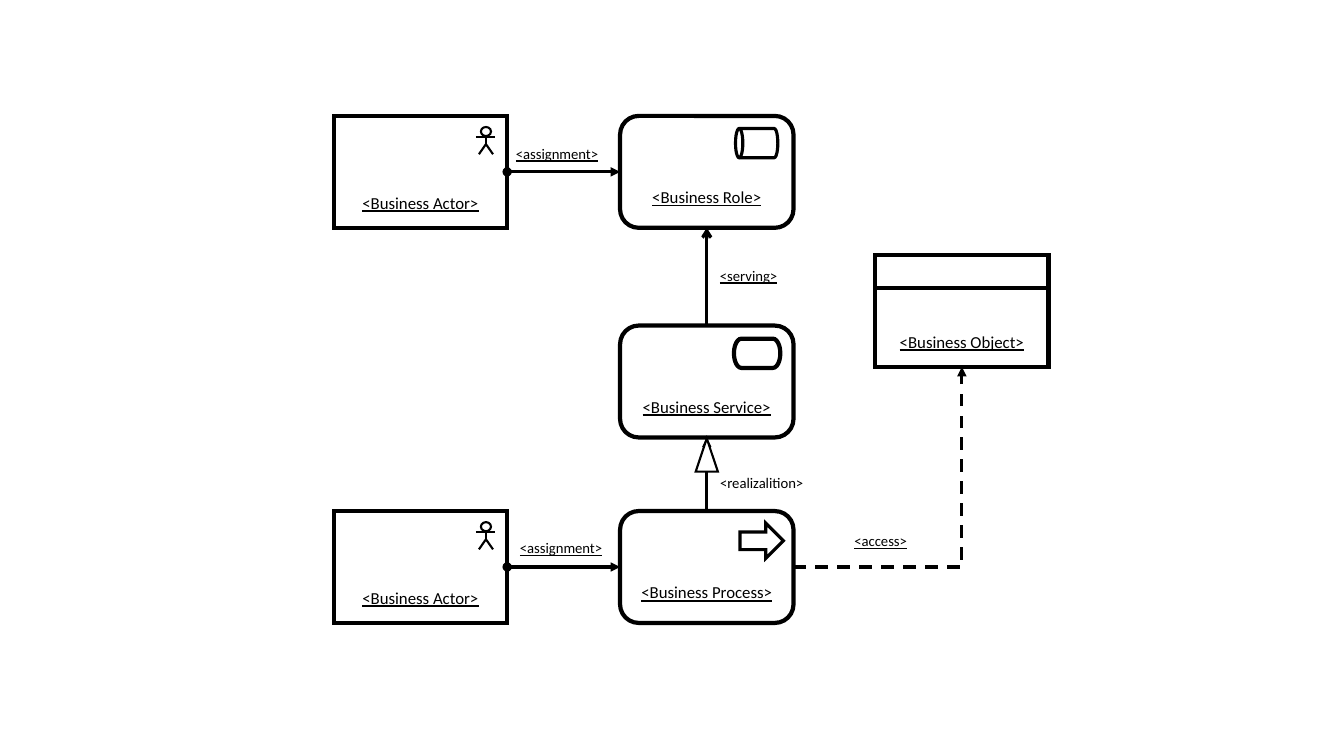
from lxml.etree import SubElement
from pptx import Presentation
from pptx.dml.color import RGBColor
from pptx.enum.dml import MSO_LINE
from pptx.enum.shapes import MSO_CONNECTOR, MSO_SHAPE
from pptx.enum.text import MSO_ANCHOR, PP_ALIGN
from pptx.oxml.ns import qn
from pptx.util import Inches, Pt

BLACK, WHITE = "000000", "FFFFFF"
FONT = "Calibri"

# Grid: left edges of the columns and top edges of the rows, in inches
COLUMNS = {"actor": 3.31, "behaviour": 6.15, "object": 8.68}
ROWS = {"role": 1.15, "object": 2.53, "service": 3.23, "process": 5.07}
BOX_WIDTH, BOX_HEIGHT = 1.72, 1.11
LABEL_WIDTH, LABEL_HEIGHT = 1.45, 0.21

# Connection sites of a box
TOP, LEFT, BOTTOM, RIGHT = range(4)


def colour(hex_code):
    return RGBColor.from_string(hex_code)


def write(shape, text, size=12, underline=True, anchor=MSO_ANCHOR.MIDDLE, bottom=0):
    frame = shape.text_frame
    frame.word_wrap = True
    frame.vertical_anchor = anchor
    frame.margin_left = frame.margin_right = frame.margin_top = 0
    frame.margin_bottom = Inches(bottom)
    paragraph = frame.paragraphs[0]
    paragraph.alignment = PP_ALIGN.CENTER
    run = paragraph.add_run()
    run.text = text
    font = run.font
    font.name, font.size, font.underline = FONT, Pt(size), underline
    font.color.rgb = colour(BLACK)


def add_outline(slide, kind, x, y, width, height, weight, fill=None):
    shape = slide.shapes.add_shape(
        kind, Inches(x), Inches(y), Inches(width), Inches(height))
    shape.shadow.inherit = False
    if fill:
        shape.fill.solid()
        shape.fill.fore_color.rgb = colour(fill)
    else:
        shape.fill.background()
    shape.line.color.rgb = colour(BLACK)
    shape.line.width = Pt(weight)
    SubElement(shape._element.spPr.find(qn("a:ln")), qn("a:miter"), lim="800000")
    return shape


def add_box(slide, column, row, text, kind=MSO_SHAPE.RECTANGLE):
    box = add_outline(slide, kind, COLUMNS[column], ROWS[row],
                      BOX_WIDTH, BOX_HEIGHT, 3)
    write(box, text, anchor=MSO_ANCHOR.BOTTOM, bottom=0.15)
    return box


def add_line(slide, start=(0, 0), end=(0, 0), weight=1.5, kind=MSO_CONNECTOR.STRAIGHT):
    line = slide.shapes.add_connector(
        kind, *(Inches(value) for value in (*start, *end)))
    line.line.color.rgb = colour(BLACK)
    line.line.width = Pt(weight)
    SubElement(line._element.spPr, qn("a:effectLst"))
    return line


def add_relation(slide, source, source_site, target, target_site,
                 head=None, tail="triangle", elbow=False):
    kind = MSO_CONNECTOR.ELBOW if elbow else MSO_CONNECTOR.STRAIGHT
    relation = add_line(slide, weight=2.25, kind=kind)
    relation.begin_connect(source, source_site)
    relation.end_connect(target, target_site)
    if elbow:
        # One corner, drawn dashed
        relation._element.spPr.find(qn("a:prstGeom")).set("prst", "bentConnector2")
        relation.line.dash_style = MSO_LINE.DASH
    outline = relation._element.spPr.find(qn("a:ln"))
    for tag, arrow in (("a:headEnd", head), ("a:tailEnd", tail)):
        if arrow:
            SubElement(outline, qn(tag), type=arrow)


def add_label(slide, x, y, text, underline=True):
    label = slide.shapes.add_textbox(
        Inches(x), Inches(y), Inches(LABEL_WIDTH), Inches(LABEL_HEIGHT))
    write(label, text, size=10.5, underline=underline)


def add_actor(slide, row):
    box = add_box(slide, "actor", row, "<Business Actor>")
    # Stick figure: head, arms, body and legs around one axis
    axis, top = COLUMNS["actor"] + 1.51, ROWS[row] + 0.11
    add_outline(slide, MSO_SHAPE.OVAL, axis - 0.05, top, 0.1, 0.09, 1.5)
    add_line(slide, (axis - 0.1, top + 0.1), (axis + 0.09, top + 0.1))
    add_line(slide, (axis, top + 0.18), (axis, top + 0.09))
    for side in (-1, 1):
        add_line(slide, (axis + side * 0.07, top + 0.27), (axis, top + 0.17))
    return box


def add_behaviour(slide, row, text, icon, icon_frame, weight, rotation=0):
    box = add_box(slide, "behaviour", row, text, MSO_SHAPE.ROUNDED_RECTANGLE)
    dx, dy, width, height = icon_frame
    symbol = add_outline(slide, icon, COLUMNS["behaviour"] + dx, ROWS[row] + dy,
                         width, height, weight)
    symbol.rotation = rotation
    return box


def main():
    deck = Presentation()
    deck.slide_width, deck.slide_height = Inches(13.33), Inches(7.5)
    slide = deck.slides.add_slide(deck.slide_layouts[6])

    # Elements
    role = add_behaviour(slide, "role", "<Business Role>", MSO_SHAPE.CAN,
                         (1.21, 0.06, 0.29, 0.42), 2.25, rotation=270)
    service = add_behaviour(slide, "service", "<Business Service>",
                            MSO_SHAPE.FLOWCHART_TERMINATOR,
                            (1.13, 0.13, 0.46, 0.29), 3)
    process = add_behaviour(slide, "process", "<Business Process>",
                            MSO_SHAPE.RIGHT_ARROW, (1.19, 0.12, 0.43, 0.35), 2.25)
    business_object = add_box(slide, "object", "object", "<Business Object>")
    add_outline(slide, MSO_SHAPE.RECTANGLE, COLUMNS["object"], ROWS["object"],
                BOX_WIDTH, 0.33, 3)
    role_actor = add_actor(slide, "role")
    process_actor = add_actor(slide, "process")

    # Relations
    for actor, behaviour in ((role_actor, role), (process_actor, process)):
        add_relation(slide, actor, RIGHT, behaviour, LEFT, head="oval")
    add_relation(slide, service, TOP, role, BOTTOM, tail="arrow")
    add_relation(slide, process, TOP, service, BOTTOM)
    add_relation(slide, process, RIGHT, business_object, BOTTOM, elbow=True)

    # Hollow head of the realization
    add_outline(slide, MSO_SHAPE.ISOSCELES_TRIANGLE,
                COLUMNS["behaviour"] + BOX_WIDTH / 2 - 0.11,
                ROWS["service"] + BOX_HEIGHT + 0.01, 0.22, 0.33, 1.5, fill=WHITE)

    # Relation names
    add_label(slide, 4.8, 1.42, "<assignment>")
    add_label(slide, 4.84, 5.33, "<assignment>")
    add_label(slide, 6.7, 2.63, "<serving>")
    add_label(slide, 6.83, 4.68, "<realizalition>", underline=False)
    add_label(slide, 8.01, 5.26, "<access>")

    deck.save("out.pptx")


if __name__ == "__main__":
    main()
